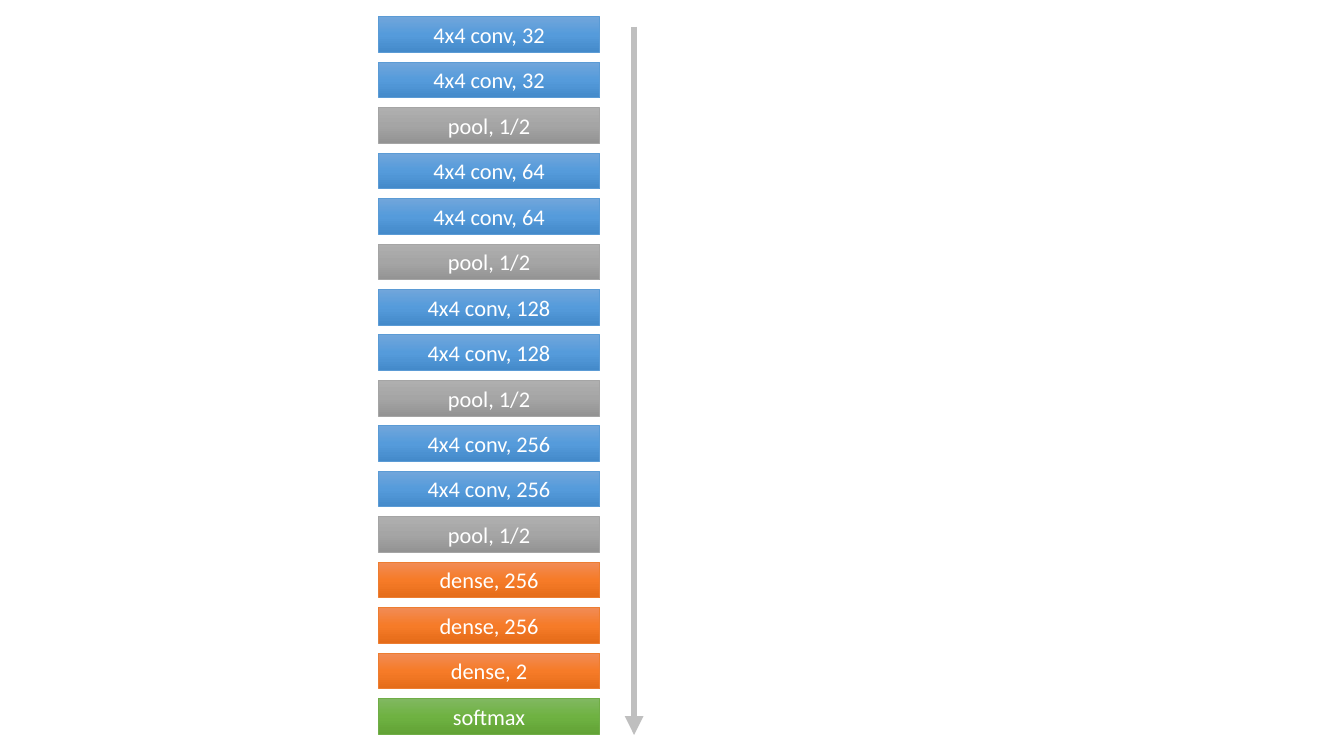
from copy import deepcopy
from dataclasses import dataclass

from lxml import etree
from pptx import Presentation
from pptx import util as u
from pptx.dml.color import RGBColor
from pptx.enum import shapes, text
from pptx.oxml import ns


@dataclass(frozen=True)
class Theme:
    font: str = "Calibri"
    label_size: int = 16
    label: str = "FFFFFF"
    flow: str = "BFBFBF"
    # Outline, then gradient from top to bottom
    conv: tuple = ("5B9BD5", "71A6DB", "559BDB", "448ACA")
    pool: tuple = ("A5A5A5", "AFAFAF", "A5A5A5", "939393")
    dense: tuple = ("ED7D31", "F18C57", "F67B28", "E56C19")
    softmax: tuple = ("70AD47", "81B861", "6FB242", "62A336")


theme = Theme()


def fill_gradient(fill, layer, colours):
    fill.gradient()
    fill.gradient_angle = 270
    stops = layer._element.spPr.find(".//" + ns.qn("a:gsLst"))
    stops.insert(1, deepcopy(stops[0]))
    for stop, position, colour in zip(fill.gradient_stops, (0, 0.5, 1), colours):
        stop.color.rgb = RGBColor.from_string(colour)
        stop.position = position


deck = Presentation()
deck.slide_width, deck.slide_height = u.Cm(33.87), u.Cm(19.05)
slide = deck.slides.add_slide(deck.slide_layouts[6])

# Network layers, top to bottom
layers = []
for filters in (32, 64, 128, 256):
    layers += [("conv", f"4x4 conv, {filters}")] * 2 + [("pool", "pool, 1/2")]
layers += [("dense", f"dense, {units}") for units in (256, 256, 2)]
layers.append(("softmax", "softmax"))

left, width, height = 9.54, 5.57, 0.9
first_top, last_top = 0.42, 17.6
pitch = (last_top - first_top) / (len(layers) - 1)

network = slide.shapes.add_group_shape()
for index, (kind, label) in enumerate(layers):
    layer = network.shapes.add_shape(
        shapes.MSO_SHAPE.RECTANGLE,
        u.Cm(left), u.Cm(first_top + index * pitch), u.Cm(width), u.Cm(height))
    layer.shadow.inherit = False
    outline, *gradient = getattr(theme, kind)
    fill_gradient(layer.fill, layer, gradient)
    layer.line.color.rgb = RGBColor.from_string(outline)
    layer.line.width = u.Pt(0.5)

    frame = layer.text_frame
    frame.word_wrap = True
    frame.auto_size = text.MSO_AUTO_SIZE.SHAPE_TO_FIT_TEXT
    frame.vertical_anchor = text.MSO_ANCHOR.MIDDLE
    paragraph = frame.paragraphs[0]
    paragraph.alignment = text.PP_ALIGN.CENTER
    run = paragraph.add_run()
    run.text = label
    run.font.name = theme.font
    run.font.size = u.Pt(theme.label_size)
    run.font.color.rgb = RGBColor.from_string(theme.label)

# Direction of the data flow
flow = slide.shapes.add_connector(
    shapes.MSO_CONNECTOR.STRAIGHT,
    u.Cm(15.98), u.Cm(0.68), u.Cm(15.98), u.Cm(18.52))
flow.line.color.rgb = RGBColor.from_string(theme.flow)
flow.line.width = u.Pt(4.5)
etree.SubElement(flow.line._get_or_add_ln(), ns.qn("a:tailEnd"), type="triangle")
etree.SubElement(flow._element.spPr, ns.qn("a:effectLst"))

deck.save("out.pptx")
